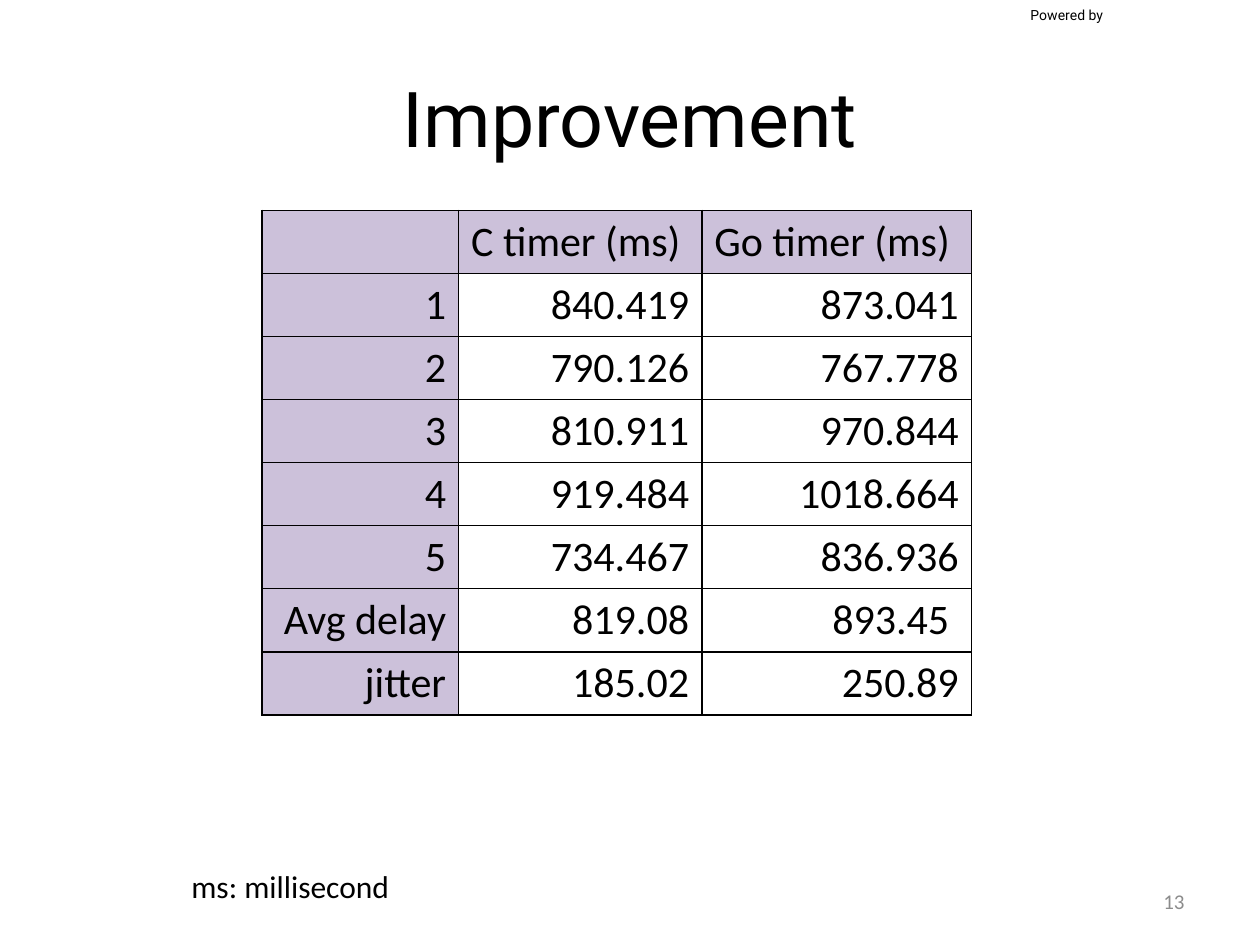
import pptx
import pptx.util
import pptx.dml.color
import pptx.enum.text
import pptx.oxml
import pptx.oxml.ns

Inches = pptx.util.Inches
Pt = pptx.util.Pt
Align = pptx.enum.text.PP_ALIGN
Anchor = pptx.enum.text.MSO_ANCHOR

COLORS = {"text": "000000", "header": "CCC1DA", "border": "000000", "number": "8C8C8C"}

COLUMN_WIDTHS = [1.56, 1.93, 2.14]
ROW_HEIGHT = 0.5
TIMER_ROWS = [
    ["", "C timer (ms)", "Go timer (ms)"],
    ["1", "840.419", "873.041"],
    ["2", "790.126", "767.778"],
    ["3", "810.911", "970.844"],
    ["4", "919.484", "1018.664"],
    ["5", "734.467", "836.936"],
    ["Avg delay", "819.08", "893.45 "],
    ["jitter", "185.02", "250.89"],
]


def rgb(name):
    return pptx.dml.color.RGBColor.from_string(COLORS[name])


def write_text(frame, text, size, font="Calibri", color="text", align=Align.LEFT):
    frame.text = text
    paragraph = frame.paragraphs[0]
    paragraph.alignment = align
    paragraph.font.name = font
    paragraph.font.size = Pt(size)
    paragraph.font.color.rgb = rgb(color)


def add_label(slide, box, text, size, wrap=True, anchor=Anchor.TOP, **style):
    shape = slide.shapes.add_textbox(*map(Inches, box))
    shape.text_frame.word_wrap = wrap
    shape.text_frame.vertical_anchor = anchor
    write_text(shape.text_frame, text, size, **style)


def set_title(slide, text):
    title = slide.shapes.title
    title.left, title.top, title.width, title.height = map(Inches, (0.5, 0.3, 9, 1.25))
    title.text_frame.vertical_anchor = Anchor.MIDDLE
    write_text(title.text_frame, text, 44, font="Roboto", align=Align.CENTER)


def set_borders(cell):
    properties = cell._tc.get_or_add_tcPr()
    for index, side in enumerate(("lnL", "lnR", "lnT", "lnB")):
        line = pptx.oxml.parse_xml(
            f'<a:{side} {pptx.oxml.ns.nsdecls("a")} w="{Pt(1)}"><a:solidFill>'
            f'<a:srgbClr val="{COLORS["border"]}"/></a:solidFill></a:{side}>'
        )
        properties.insert(index, line)


def format_cell(cell, text, is_top, is_header):
    write_text(cell.text_frame, text, 24, align=Align.LEFT if is_top else Align.RIGHT)
    if is_header:
        cell.fill.solid()
        cell.fill.fore_color.rgb = rgb("header")
    else:
        cell.fill.background()
    set_borders(cell)


def add_timer_table(slide):
    box = (2.08, 1.67, sum(COLUMN_WIDTHS), ROW_HEIGHT * len(TIMER_ROWS))
    frame = slide.shapes.add_table(len(TIMER_ROWS), len(COLUMN_WIDTHS), *map(Inches, box))
    table = frame.table
    table.horz_banding = False
    table.first_row = False
    for column, width in zip(table.columns, COLUMN_WIDTHS):
        column.width = Inches(width)
    for row_index, values in enumerate(TIMER_ROWS):
        table.rows[row_index].height = Inches(ROW_HEIGHT)
        for column_index, text in enumerate(values):
            is_top = row_index == 0
            format_cell(table.cell(row_index, column_index), text, is_top,
                        is_top or column_index == 0)


def main():
    presentation = pptx.Presentation()
    presentation.slide_width = Inches(10)
    presentation.slide_height = Inches(7.5)
    slide = presentation.slides.add_slide(presentation.slide_layouts[5])
    add_label(slide, (8.08, 0, 1.67, 0.24), "Powered by", 8, font="Roboto")
    set_title(slide, "Improvement")
    add_timer_table(slide)
    add_label(slide, (7.17, 6.95, 2.33, 0.4), "13", 12, anchor=Anchor.MIDDLE,
              color="number", align=Align.RIGHT)
    add_label(slide, (1.42, 6.83, 1.79, 0.4), "ms: millisecond", 18, wrap=False)
    presentation.save("out.pptx")


main()
